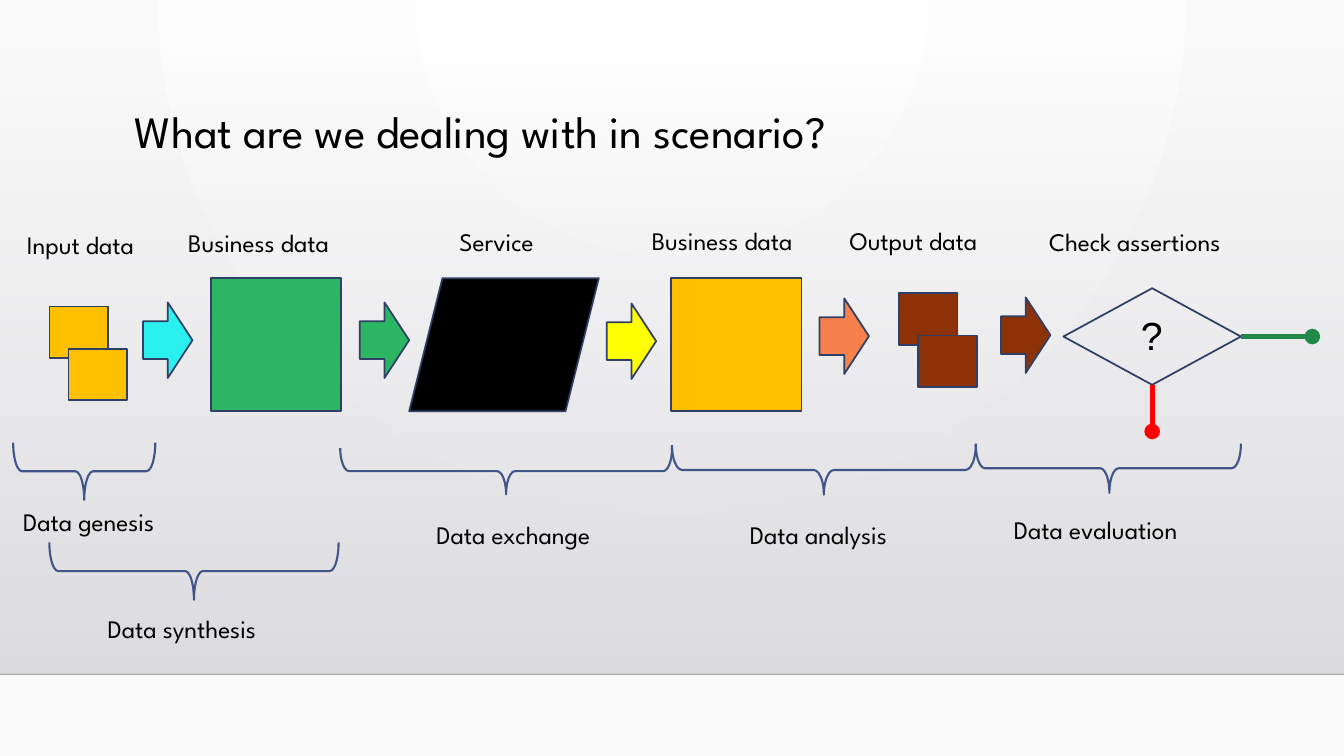
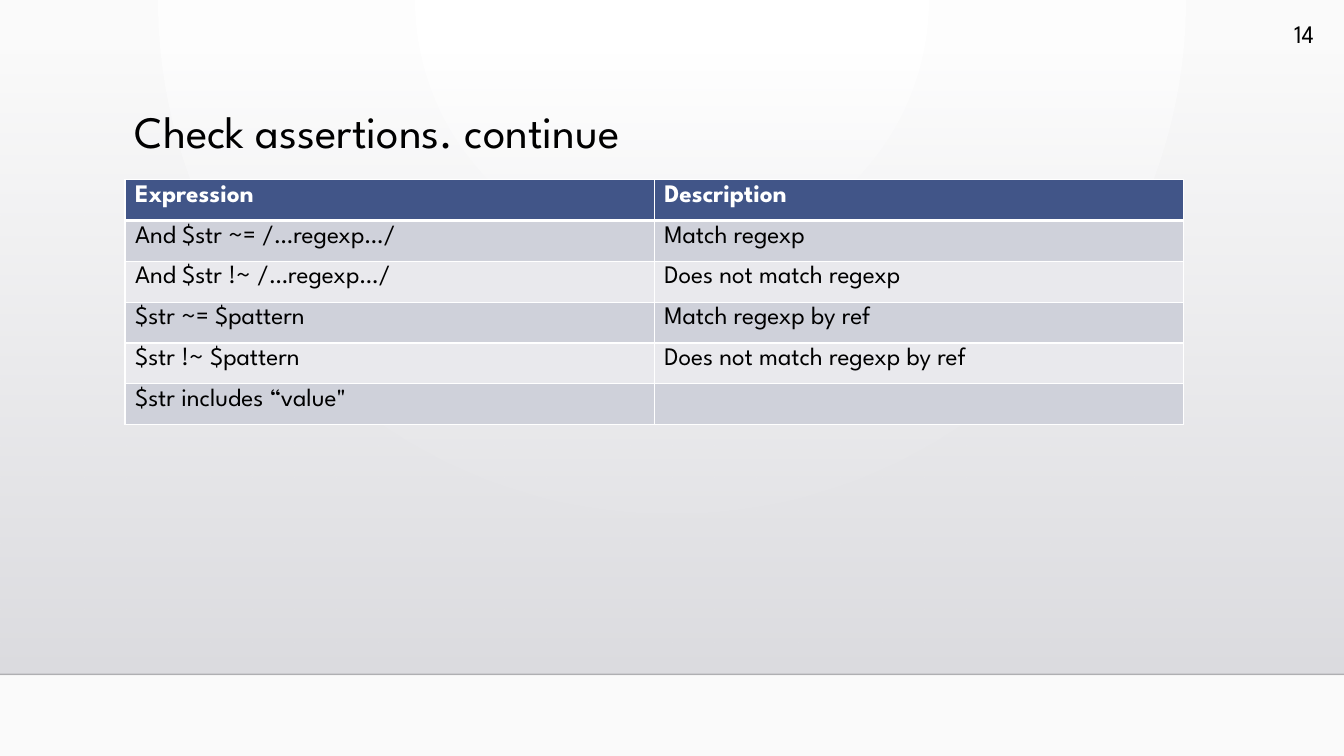
"""Build two slides: a test scenario flow and a table of assertion expressions."""
from pptx import Presentation
from pptx import oxml
from pptx import util as u
from pptx.dml.color import RGBColor
from pptx.enum import shapes, text
from pptx.oxml import ns

FONT = "League Spartan"
BLACK = RGBColor(0x00, 0x00, 0x00)
WHITE = RGBColor(0xFF, 0xFF, 0xFF)
NAVY = RGBColor(0x30, 0x3F, 0x65)
BLUE = RGBColor(0x41, 0x55, 0x88)
AMBER = RGBColor(0xFF, 0xC0, 0x00)
CYAN = RGBColor(0x2A, 0xF1, 0xF0)
GREEN = RGBColor(0x2C, 0xB6, 0x63)
YELLOW = RGBColor(0xFF, 0xFF, 0x00)
ORANGE = RGBColor(0xF6, 0x81, 0x4D)
BROWN = RGBColor(0x8D, 0x31, 0x07)
PASS = RGBColor(0x21, 0x88, 0x4A)
FAIL = RGBColor(0xFF, 0x00, 0x00)
RULE = RGBColor(0x00, 0x00, 0x01)
ROW_DARK = RGBColor(0xCF, 0xD1, 0xDA)
ROW_LIGHT = RGBColor(0xE9, 0xE9, 0xED)

WIDTH, HEIGHT = 960, 540
BAND_TOP, BAND_BOTTOM = 36.7, 481.7
SHAPE = shapes.MSO_SHAPE


def write(frame, content, size=18, font=FONT, color=BLACK, bold=False, spacing=1.0):
    paragraph = frame.paragraphs[0]
    paragraph.line_spacing = spacing
    run = paragraph.add_run()
    run.text = content
    run.font.size = u.Pt(size)
    run.font.name = font
    run.font.color.rgb = color
    run.font.bold = bold


def set_gradient(fill, element, stops, direction):
    fill.gradient()
    plain = element.xpath(".//a:gradFill")[0]
    marks = "".join(
        f'<a:gs pos="{position}"><a:srgbClr val="{color}"><a:alpha val="{alpha}"/></a:srgbClr></a:gs>'
        for position, color, alpha in stops)
    gradient = oxml.parse_xml(
        f'<a:gradFill {ns.nsdecls("a")} rotWithShape="1"><a:gsLst>{marks}</a:gsLst>{direction}</a:gradFill>')
    plain.getparent().replace(plain, gradient)


def set_borders(cell, widths):
    properties = cell._tc.get_or_add_tcPr()
    for side, width in zip("LRTB", widths):
        properties.append(oxml.parse_xml(
            f'<a:ln{side} {ns.nsdecls("a")} w="{u.Pt(width)}"><a:solidFill>'
            f'<a:srgbClr val="{WHITE}"/></a:solidFill></a:ln{side}>'))


class Deck:
    def __init__(self):
        self.presentation = Presentation()
        self.presentation.slide_width = u.Pt(WIDTH)
        self.presentation.slide_height = u.Pt(HEIGHT)
        self.slide = None

    def new_slide(self, title, title_height):
        self.slide = self.presentation.slides.add_slide(self.presentation.slide_layouts[6])
        set_gradient(
            self.slide.background.fill, self.slide.element,
            [(0, "FFFFFF", 100000), (100000, "FAFAFA", 100000)],
            '<a:path path="circle"><a:fillToRect l="43000" r="43000" b="100000"/></a:path>')
        band = self.shape(SHAPE.RECTANGLE, 0, BAND_TOP, WIDTH, BAND_BOTTOM - BAND_TOP, line=None)
        set_gradient(
            band.fill, band._element,
            [(0, "DCDCE0", 0), (100000, "DEDEE2", 100000)],
            '<a:lin ang="5400000" scaled="0"/>')
        rule = self.line((0, BAND_BOTTOM), (WIDTH, BAND_BOTTOM), RULE, 1)
        color = rule._element.xpath(".//a:ln//a:srgbClr")[0]
        color.append(oxml.parse_xml(f'<a:alpha {ns.nsdecls("a")} val="20000"/>'))
        self.label(title, 89.3, 74.9, 756, title_height, size=32, spacing=0.9)

    def shape(self, kind, left, top, width, height, fill=None, line=NAVY, weight=1.25):
        shape = self.slide.shapes.add_shape(kind, u.Pt(left), u.Pt(top), u.Pt(width), u.Pt(height))
        shape.shadow.inherit = False
        if fill is None:
            shape.fill.background()
        else:
            shape.fill.solid()
            shape.fill.fore_color.rgb = fill
        if line is None:
            shape.line.fill.background()
        else:
            shape.line.color.rgb = line
            shape.line.width = u.Pt(weight)
        return shape

    def label(self, content, left, top, width, height=28.8, **style):
        box = self.slide.shapes.add_textbox(u.Pt(left), u.Pt(top), u.Pt(width), u.Pt(height))
        box.text_frame.word_wrap = True
        box.text_frame.vertical_anchor = text.MSO_ANCHOR.TOP
        write(box.text_frame, content, **style)

    def line(self, start, end, color, weight):
        points = [u.Pt(value) for value in (*start, *end)]
        connector = self.slide.shapes.add_connector(shapes.MSO_CONNECTOR.STRAIGHT, *points)
        connector.line.color.rgb = color
        connector.line.width = u.Pt(weight)
        connector._element.spPr.append(oxml.parse_xml(f'<a:effectLst {ns.nsdecls("a")}/>'))
        return connector

    def outcome(self, source, site, start, end, color):
        connector = self.line(start, end, color, 3.75)
        connector.begin_connect(source, site)
        connector.line._get_or_add_ln().append(
            oxml.parse_xml(f'<a:tailEnd {ns.nsdecls("a")} type="oval"/>'))

    def square_pair(self, left, top, fill):
        for step in range(2):
            self.shape(SHAPE.RECTANGLE, left + 13.7 * step, top + 30.2 * step, 41.8, 36.7, fill)

    def brace(self, left, top, width, depth, curve, middle=0.5):
        inset = (width - depth) / 2
        brace = self.shape(SHAPE.LEFT_BRACE, left + inset, top - inset, depth, width,
                           line=BLUE, weight=1.5)
        brace.rotation = 270
        brace.adjustments[0] = curve
        brace.adjustments[1] = middle

    def table(self, rows, left, top, width, row_height):
        columns = len(rows[0])
        table = self.slide.shapes.add_table(
            len(rows), columns, u.Pt(left), u.Pt(top), u.Pt(width), u.Pt(row_height * len(rows))).table
        table.horz_banding = False
        for row_index, row in enumerate(rows):
            header = row_index == 0
            fill = BLUE if header else ROW_DARK if row_index % 2 else ROW_LIGHT
            top_width = 3 if row_index == 1 else 1
            for column_index, content in enumerate(row):
                cell = table.cell(row_index, column_index)
                set_borders(cell, (1, 1, top_width, 3 if header else 1))
                cell.fill.solid()
                cell.fill.fore_color.rgb = fill
                write(cell.text_frame, content, color=WHITE if header else BLACK, bold=header)


def build_scenario(deck):
    deck.new_slide("What are we dealing with in scenario?", 82.8)

    deck.square_pair(35.3, 218.9, AMBER)
    deck.square_pair(642.2, 209.5, BROWN)
    for left, fill in ((150.5, GREEN), (479.5, AMBER)):
        deck.shape(SHAPE.RECTANGLE, left, 198.7, 93, 95, fill)
    deck.shape(SHAPE.PARALLELOGRAM, 292.3, 198.7, 135.4, 95, BLACK)
    for left, top, fill in ((102.2, 216, CYAN), (257, 216, GREEN), (433.4, 216.7, YELLOW),
                            (585.4, 213.1, ORANGE), (715, 212.4, BROWN)):
        deck.shape(SHAPE.RIGHT_ARROW, left, top, 35.3, 54, fill)

    check = deck.shape(SHAPE.DIAMOND, 759.6, 205.9, 126.8, 69)
    deck.outcome(check, 3, (886.4, 240.4), (937.4, 240.4), PASS)
    deck.outcome(check, 2, (823, 274.9), (823, 308.2), FAIL)
    deck.label("?", 807.8, 218.9, 31, 41, size=28, font="Arial")

    for brace in ((243, 320, 237, 33.1, 0.193), (480, 318, 217, 35.3, 0.207),
                  (697, 316.8, 189.4, 35.3, 0.186, 0.504),
                  (35.3, 387.4, 206.6, 41, 0.154), (9.4, 316.1, 101.5, 41, 0.154)):
        deck.brace(*brace)

    for content, left, top, width in (
            ("Input data", 12.2, 160.6, 108),
            ("Business data", 127.4, 159.1, 132.5),
            ("Service", 321.1, 158.4, 78.5),
            ("Business data", 458.6, 157.7, 132.5),
            ("Output data", 599.8, 157.7, 126),
            ("Check assertions", 742.3, 158.4, 162),
            ("Data genesis", 9.4, 357.8, 128.9),
            ("Data synthesis", 69.8, 434.2, 137.5),
            ("Data exchange", 304.6, 367.2, 154.8),
            ("Data analysis", 528.5, 367.2, 131),
            ("Data evaluation", 717.1, 363.6, 158.4)):
        deck.label(content, left, top, width)


def build_assertions(deck):
    deck.new_slide("Check assertions. continue", 53.3)
    deck.table((
        ("Expression", "Description"),
        ("And $str ~= /…regexp…/", "Match regexp"),
        ("And $str !~ /…regexp…/", "Does not match regexp"),
        ("$str ~= $pattern", "Match regexp by ref"),
        ("$str !~ $pattern", "Does not match regexp by ref"),
        ("$str includes “value\"", ""),
    ), 89.3, 128.2, 756, 29.2)
    deck.label("14", 917.3, 9.4, 34.6)


def main():
    deck = Deck()
    build_scenario(deck)
    build_assertions(deck)
    deck.presentation.save("out.pptx")


if __name__ == "__main__":
    main()
